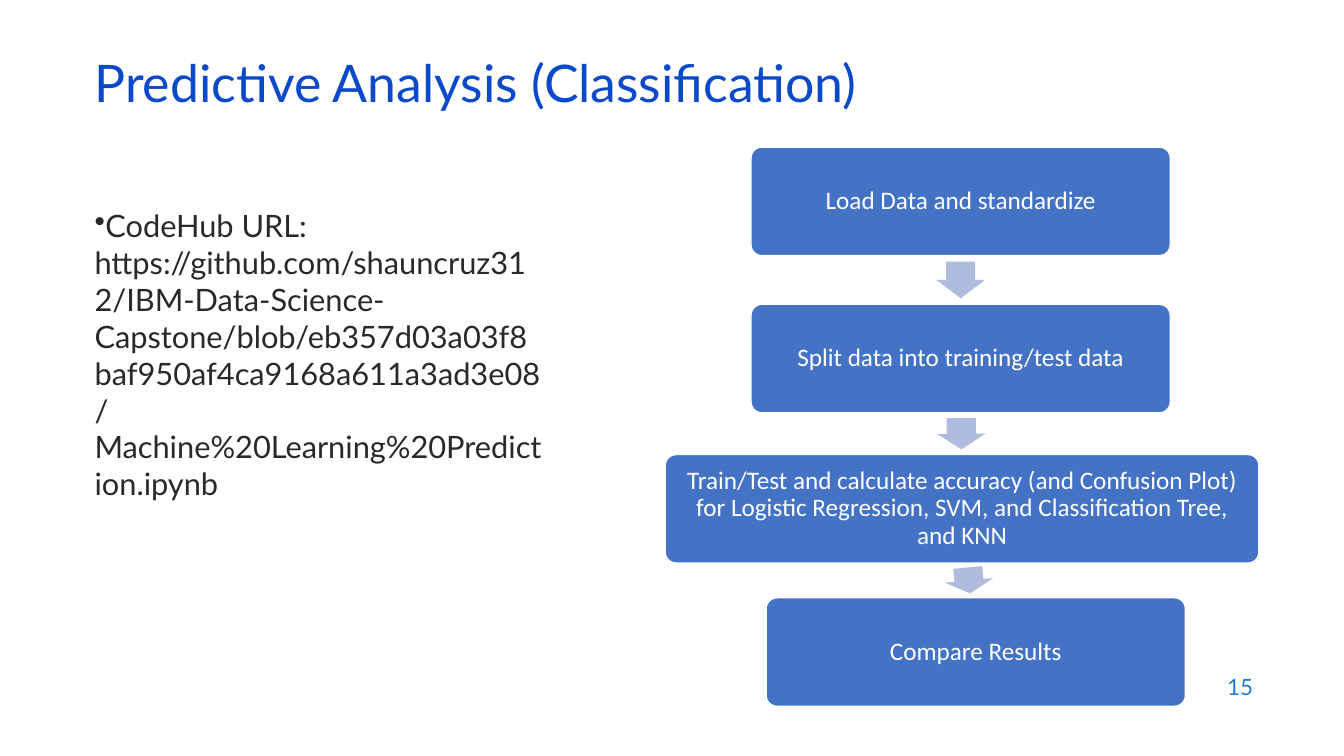
"""Build the classification workflow slide."""
import math
from lxml import etree
from pptx import Presentation
from pptx.dml.color import RGBColor
from pptx.enum import shapes, text
from pptx.oxml import ns
from pptx.util import Pt

TITLE = "Predictive Analysis (Classification)"
LINK = ("CodeHub URL: https://github.com/shauncruz312/IBM-Data-Science-Capstone/"
        "blob/eb357d03a03f8baf950af4ca9168a611a3ad3e08/"
        "Machine%20Learning%20Prediction.ipynb")
PAGE = "15"
STEPS = [
    ("Load Data and standardize", 686.2, 105.1, 299.5),
    ("Split data into training/test data", 686.2, 217.4, 299.5),
    ("Train/Test and calculate accuracy (and Confusion Plot) for Logistic "
     "Regression, SVM, and Classification Tree, and KNN", 687.2, 324.7, 424.1),
    ("Compare Results", 697, 427, 299.5),
]
COLORS = {"title": "0B49CB", "body": "292929", "page": "1C7DDB",
          "step": "4472C4", "arrow": "B0BCDE", "white": "FFFFFF"}
STEP_H = 77.5
ARROW_W = 34.7
INSET = 7.2


def tint(name):
    return RGBColor.from_string(COLORS[name])


def write(frame, words, size, font, color, align, anchor, leading=None):
    frame.word_wrap = True
    frame.vertical_anchor = anchor
    para = frame.paragraphs[0]
    para.alignment = align
    if leading:
        para.line_spacing = leading
    run = para.add_run()
    run.text = words
    run.font.size = Pt(size)
    run.font.name = font
    run.font.color.rgb = tint(color)
    return para


def add_box(slide, rect, *style):
    box = slide.shapes.add_textbox(*map(Pt, rect))
    return write(box.text_frame, *style)


def add_form(slide, kind, center, top, width, height, fill):
    form = slide.shapes.add_shape(
        kind, Pt(center - width / 2), Pt(top), Pt(width), Pt(height))
    form.shadow.inherit = False
    form.fill.solid()
    form.fill.fore_color.rgb = tint(fill)
    return form


def add_step(slide, words, center, top, width):
    form = add_form(slide, shapes.MSO_SHAPE.ROUNDED_RECTANGLE,
                    center, top, width, STEP_H, "step")
    form.adjustments[0] = 0.1
    form.line.color.rgb = tint("white")
    form.line.width = Pt(1)
    frame = form.text_frame
    frame.margin_left = frame.margin_right = Pt(INSET)
    frame.margin_top = frame.margin_bottom = Pt(INSET)
    write(frame, words, 18, "Calibri", "white",
          text.PP_ALIGN.CENTER, text.MSO_ANCHOR.MIDDLE, 0.9)


def add_arrow(slide, above, below):
    _, x1, y1, _ = above
    _, x2, y2, _ = below
    gap = y2 - y1 - STEP_H
    form = add_form(slide, shapes.MSO_SHAPE.DOWN_ARROW, (x1 + x2) / 2,
                    y1 + STEP_H + gap / 8, ARROW_W, gap * 0.75, "arrow")
    form.adjustments[0] = 0.6
    form.adjustments[1] = 0.5
    form.line.fill.background()
    form.rotation = -math.degrees(math.atan2(x2 - x1, y2 - y1))


def main():
    deck = Presentation()
    deck.slide_width, deck.slide_height = Pt(960), Pt(540)
    slide = deck.slides.add_slide(deck.slide_layouts[6])
    left, right = text.PP_ALIGN.LEFT, text.PP_ALIGN.RIGHT
    top, middle = text.MSO_ANCHOR.TOP, text.MSO_ANCHOR.MIDDLE

    add_box(slide, (60.5, 42.5, 828, 43.2),
            TITLE, 37, "Lato", "title", left, middle, 0.7)
    para = add_box(slide, (60.5, 144, 334.1, 342.7),
                   LINK, 22, "Lato", "body", left, top)
    props = para._p.get_or_add_pPr()
    props.set("marL", "0")
    props.set("indent", "0")
    etree.SubElement(props, ns.qn("a:buChar")).set("char", "•")
    add_box(slide, (686.2, 474.5, 216, 31.7),
            PAGE, 16, "Lato", "page", right, middle)

    for step in STEPS:
        add_step(slide, *step)
    for above, below in zip(STEPS, STEPS[1:]):
        add_arrow(slide, above, below)
    deck.save("out.pptx")


if __name__ == "__main__":
    main()
